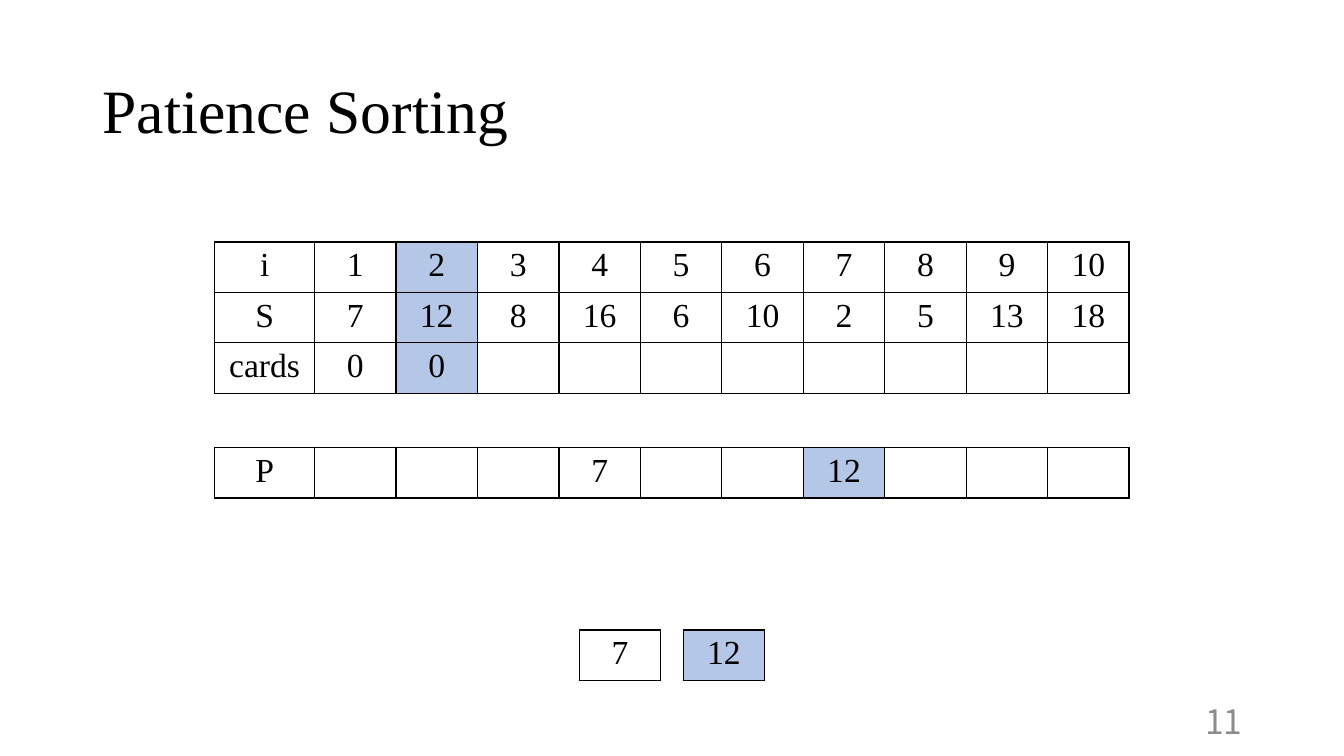
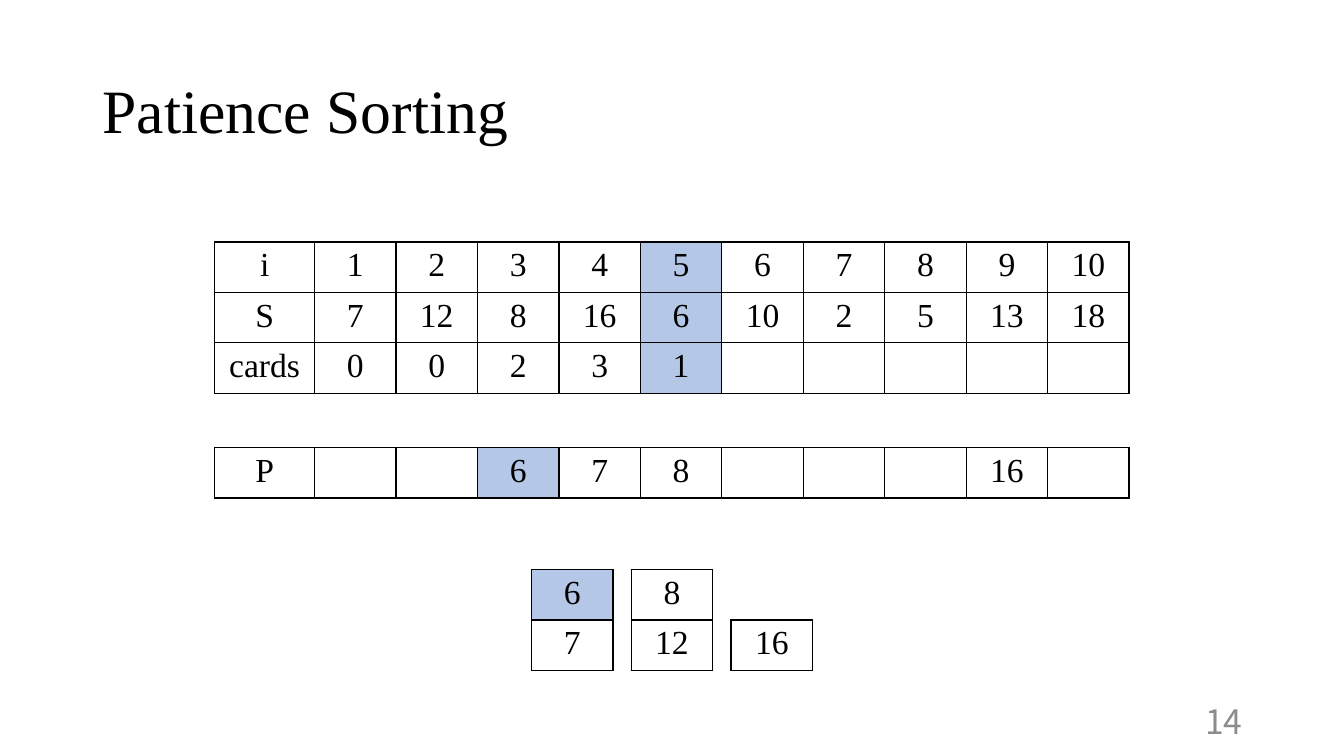
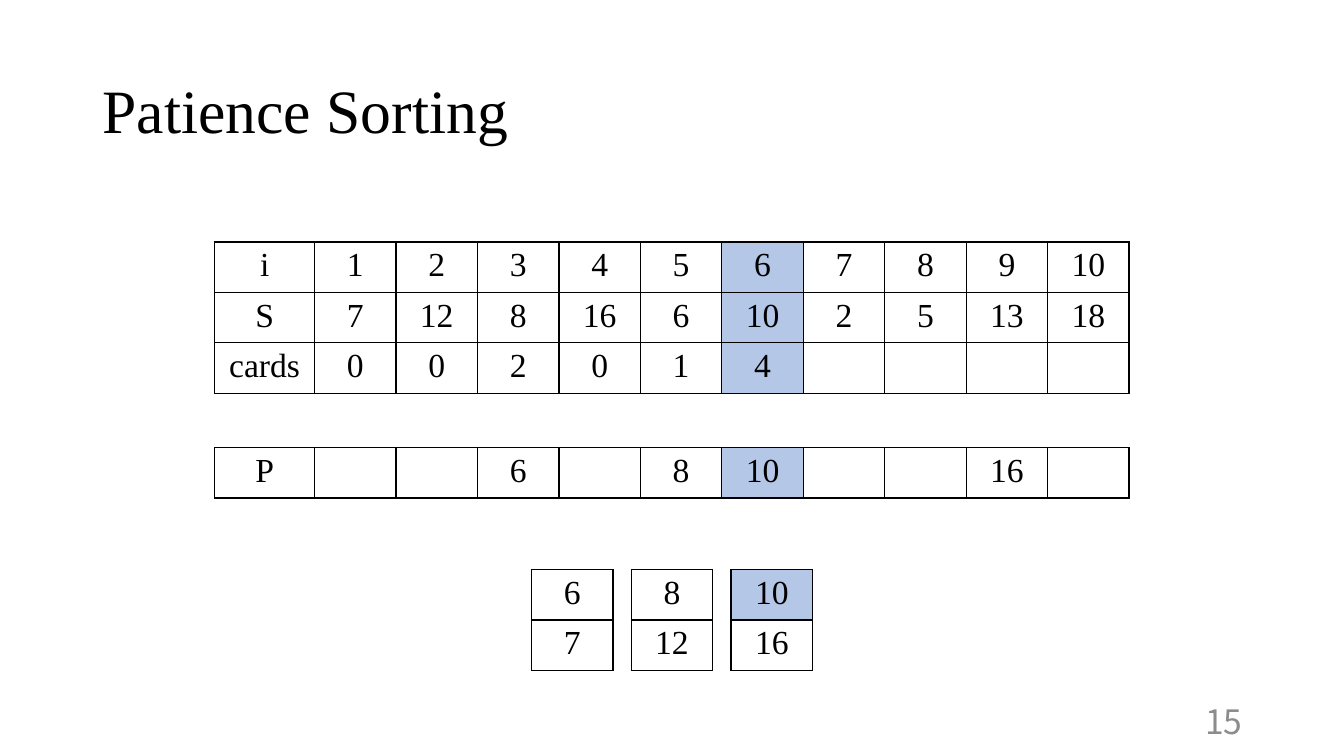
from collections.abc import Sequence
from dataclasses import dataclass

from lxml import etree
from pptx import Presentation
from pptx import slide as sl
from pptx import table as tb
from pptx import util as u
from pptx.dml import color
from pptx.enum import text
from pptx.oxml import ns
from pptx.text import text as tx

COLORS = {"ink": "000000", "paper": "FFFFFF", "current": "B4C7E7", "number": "8C8C8C"}
SERIF = "Times New Roman"
SANS = "Noto Sans CJK JP"

SLIDE_WIDTH, SLIDE_HEIGHT = 13.33, 7.5
GRID_LEFT, GRID_WIDTH, LABEL_WIDTH = 2.13, 9.07, 0.99
STEPS_TOP, PILE_TOPS_TOP = 2.4, 4.44
ROW_HEIGHT = 0.47
CARD_WIDTH, CARD_STEP = 0.81, 0.5

SEQUENCE = (7, 12, 8, 16, 6, 10, 2, 5, 13, 18)
COUNT = len(SEQUENCE)
GRID_COLUMNS = [LABEL_WIDTH] + [(GRID_WIDTH - LABEL_WIDTH) / COUNT] * COUNT


@dataclass(frozen=True)
class Cell:
    value: str
    current: bool = False


@dataclass(frozen=True)
class Step:
    page: int
    links: tuple[int, ...]
    pile_tops: tuple[int, ...]
    piles: tuple[tuple[int, ...], ...]
    pile_gap: float = 0.18
    pile_base: float = 6.65

    @property
    def index(self) -> int:
        return len(self.links)

    @property
    def card(self) -> int:
        return SEQUENCE[self.index - 1]


STEPS = (
    Step(11, (0, 0), (7, 12), ((7,), (12,)), 0.22, 6.75),
    Step(14, (0, 0, 2, 3, 1), (6, 7, 8, 16), ((6, 7), (8, 12), (16,))),
    Step(15, (0, 0, 2, 0, 1, 4), (6, 8, 10, 16), ((6, 7), (8, 12), (10, 16))),
)


def style(paragraph: tx._Paragraph, size: int, font: str, ink: str) -> None:
    for run in paragraph.runs:
        run.font.size = u.Pt(size)
        run.font.name = font
        run.font.bold = False
        run.font.color.rgb = color.RGBColor.from_string(COLORS[ink])


def add_label(slide: sl.Slide, at: tuple[float, float, float, float], words: str,
              size: int, font: str, ink: str) -> tx._Paragraph:
    frame = slide.shapes.add_textbox(*map(u.Inches, at)).text_frame
    frame.word_wrap = True
    frame.vertical_anchor = text.MSO_ANCHOR.MIDDLE
    frame.text = words
    style(frame.paragraphs[0], size, font, ink)
    return frame.paragraphs[0]


def draw_borders(cell: tb._Cell) -> None:
    properties = cell._tc.get_or_add_tcPr()
    for side in ("a:lnL", "a:lnR", "a:lnT", "a:lnB"):
        line = etree.SubElement(properties, ns.qn(side), w=str(u.Pt(1)))
        fill = etree.SubElement(line, ns.qn("a:solidFill"))
        etree.SubElement(fill, ns.qn("a:srgbClr"), val=COLORS["ink"])


def add_grid(slide: sl.Slide, left: float, top: float, widths: Sequence[float],
             rows: Sequence[Sequence[Cell]]) -> None:
    grid = slide.shapes.add_table(
        len(rows), len(widths), u.Inches(left), u.Inches(top),
        u.Inches(sum(widths)), u.Inches(ROW_HEIGHT * len(rows))).table
    grid.first_row = False
    grid.horz_banding = False
    for column, width in zip(grid.columns, widths):
        column.width = u.Inches(width)
    for row, entries in zip(grid.rows, rows):
        row.height = u.Inches(ROW_HEIGHT)
        for cell, entry in zip(row.cells, entries):
            draw_borders(cell)
            cell.fill.solid()
            cell.fill.fore_color.rgb = color.RGBColor.from_string(
                COLORS["current" if entry.current else "paper"])
            cell.text_frame.text = entry.value
            paragraph = cell.text_frame.paragraphs[0]
            paragraph.alignment = text.PP_ALIGN.CENTER
            style(paragraph, 24, SERIF, "ink")


def labelled_row(label: str, values: Sequence[object], current: int) -> list[Cell]:
    padded = [label, *map(str, values)] + [""] * (COUNT - len(values))
    return [Cell(value, i == current) for i, value in enumerate(padded)]


def add_piles(slide: sl.Slide, step: Step) -> None:
    pitch = CARD_WIDTH + step.pile_gap
    left = (SLIDE_WIDTH - pitch * len(step.piles) + step.pile_gap) / 2
    for i, pile in enumerate(step.piles):
        cards = [[Cell(str(card), card == step.card)] for card in pile]
        add_grid(slide, left + i * pitch, step.pile_base - CARD_STEP * len(pile),
                 [CARD_WIDTH], cards)


def add_step(slide: sl.Slide, step: Step) -> None:
    title = add_label(slide, (0.92, 0.4, 11.5, 1.45), "Patience Sorting", 44, SERIF, "ink")
    title.line_spacing = 0.9
    number = add_label(slide, (9.42, 6.95, 3, 0.4), str(step.page), 24, SANS, "number")
    number.alignment = text.PP_ALIGN.RIGHT

    add_grid(slide, GRID_LEFT, STEPS_TOP, GRID_COLUMNS, [
        labelled_row("i", range(1, COUNT + 1), step.index),
        labelled_row("S", SEQUENCE, step.index),
        labelled_row("cards", step.links, step.index),
    ])
    ranked = sorted(SEQUENCE)
    tops = [card if card in step.pile_tops else "" for card in ranked]
    add_grid(slide, GRID_LEFT, PILE_TOPS_TOP, GRID_COLUMNS,
             [labelled_row("P", tops, ranked.index(step.card) + 1)])
    add_piles(slide, step)


def main() -> None:
    deck = Presentation()
    deck.slide_width = u.Inches(SLIDE_WIDTH)
    deck.slide_height = u.Inches(SLIDE_HEIGHT)
    for step in STEPS:
        add_step(deck.slides.add_slide(deck.slide_layouts[6]), step)
    deck.save("out.pptx")


if __name__ == "__main__":
    main()
